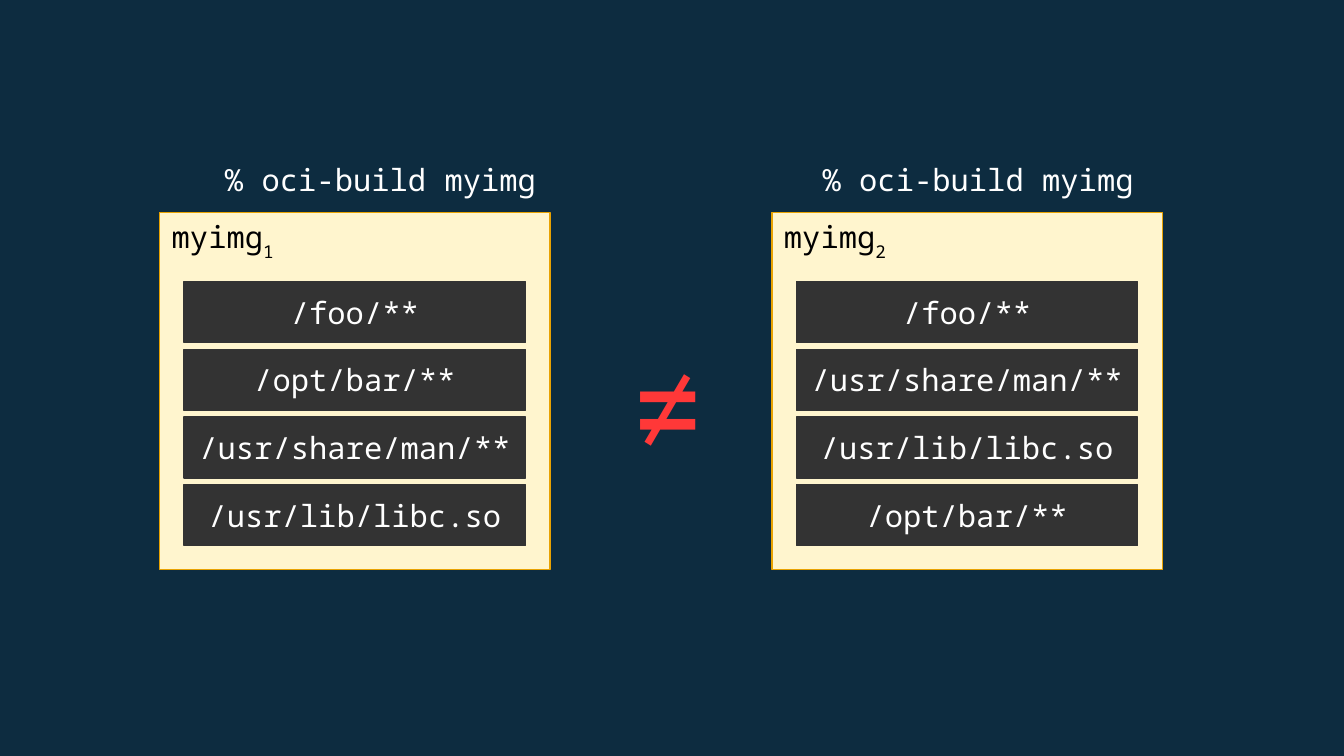
from pptx import Presentation
from pptx.dml.color import RGBColor
from pptx.enum.shapes import MSO_SHAPE
from pptx.enum.text import MSO_ANCHOR, PP_ALIGN
from pptx.util import Inches, Pt

COLOURS = {
    "background": "0D2C40",
    "image": "FFF5CE",
    "image_edge": "E8A202",
    "layer": "333333",
    "light": "FFFFFF",
    "dark": "000000",
    "unequal": "FF3838",
}
MONO = "Noto Sans Mono"
COMMAND = "% oci-build myimg"

IMAGE_TOP, IMAGE_WIDTH, IMAGE_HEIGHT = 1.74, 3.2, 2.93
LAYER_INSET, LAYER_TOP, LAYER_HEIGHT = 0.2, 2.31, 0.5
LAYER_PITCH = 0.555
COMMAND_TOP, COMMAND_WIDTH, COMMAND_HEIGHT = 1.27, 3.3, 0.47

# Index, image left, command left, layers from top to bottom
BUILDS = [
    ("1", 1.31, 1.47,
     ["/foo/**", "/opt/bar/**", "/usr/share/man/**", "/usr/lib/libc.so"]),
    ("2", 6.33, 6.37,
     ["/foo/**", "/usr/share/man/**", "/usr/lib/libc.so", "/opt/bar/**"]),
]


def colour(name):
    return RGBColor.from_string(COLOURS[name])


def write(holder, text, ink, align, size=18, font=MONO, wrap=False,
          anchor=MSO_ANCHOR.TOP):
    frame = holder.text_frame
    frame.word_wrap = wrap
    frame.vertical_anchor = anchor
    paragraph = frame.paragraphs[0]
    paragraph.alignment = align
    paragraph.font.name = font
    paragraph.font.size = Pt(size)
    paragraph.font.color.rgb = colour(ink)
    paragraph.add_run().text = text
    return paragraph


def add_box(slide, left, top, width, height, fill, edge):
    box = slide.shapes.add_shape(
        MSO_SHAPE.RECTANGLE,
        Inches(left), Inches(top), Inches(width), Inches(height))
    box.shadow.inherit = False
    box.fill.solid()
    box.fill.fore_color.rgb = colour(fill)
    box.line.color.rgb = colour(edge)
    box.line.width = Pt(0)
    return box


def add_label(slide, left, top, width, height, text, ink, align, **style):
    label = slide.shapes.add_textbox(
        Inches(left), Inches(top), Inches(width), Inches(height))
    write(label, text, ink, align, **style)


def add_image(slide, index, left, layers):
    """Draw a container image: its subscripted name and its stacked layers."""
    image = add_box(slide, left, IMAGE_TOP, IMAGE_WIDTH, IMAGE_HEIGHT,
                    "image", "image_edge")
    title = write(image, "myimg", "dark", PP_ALIGN.LEFT)
    subscript = title.add_run()
    subscript.text = index
    subscript.font._element.set("baseline", "-33000")

    for row, files in enumerate(layers):
        layer = add_box(slide, left + LAYER_INSET,
                        LAYER_TOP + row * LAYER_PITCH,
                        IMAGE_WIDTH - 2 * LAYER_INSET, LAYER_HEIGHT,
                        "layer", "layer")
        write(layer, files, "light", PP_ALIGN.CENTER,
              anchor=MSO_ANCHOR.MIDDLE)


def main():
    deck = Presentation()
    deck.slide_width, deck.slide_height = Inches(11.02), Inches(6.2)
    slide = deck.slides.add_slide(deck.slide_layouts[6])
    slide.background.fill.solid()
    slide.background.fill.fore_color.rgb = colour("background")

    for index, image_left, command_left, layers in BUILDS:
        add_image(slide, index, image_left, layers)
        add_label(slide, command_left, COMMAND_TOP, COMMAND_WIDTH,
                  COMMAND_HEIGHT, COMMAND, "light", PP_ALIGN.CENTER, wrap=True)
    add_label(slide, 5.07, 2.58, 0.83, 1.61, "≠", "unequal", PP_ALIGN.LEFT,
              size=80, font="Roboto")
    deck.save("out.pptx")


if __name__ == "__main__":
    main()
